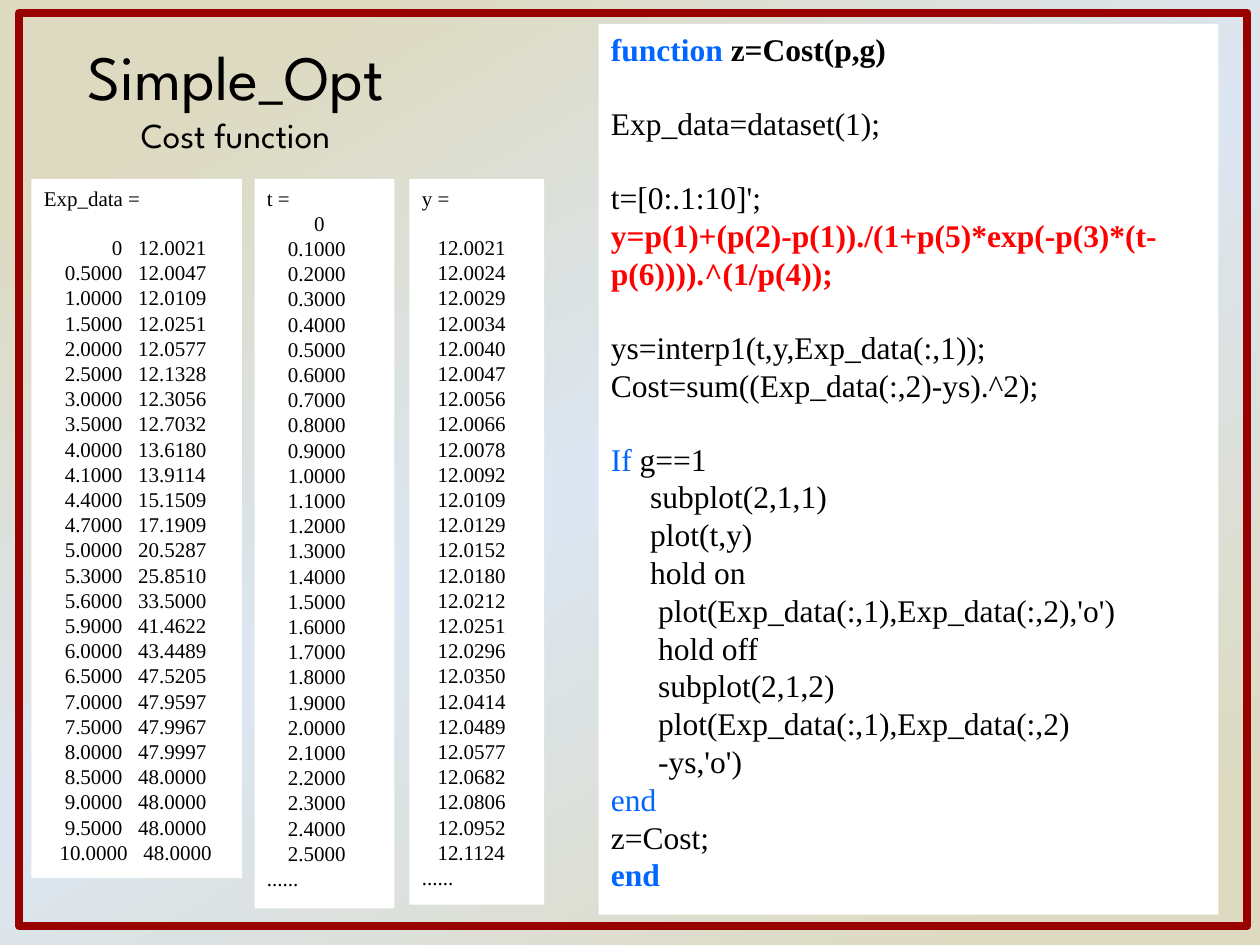
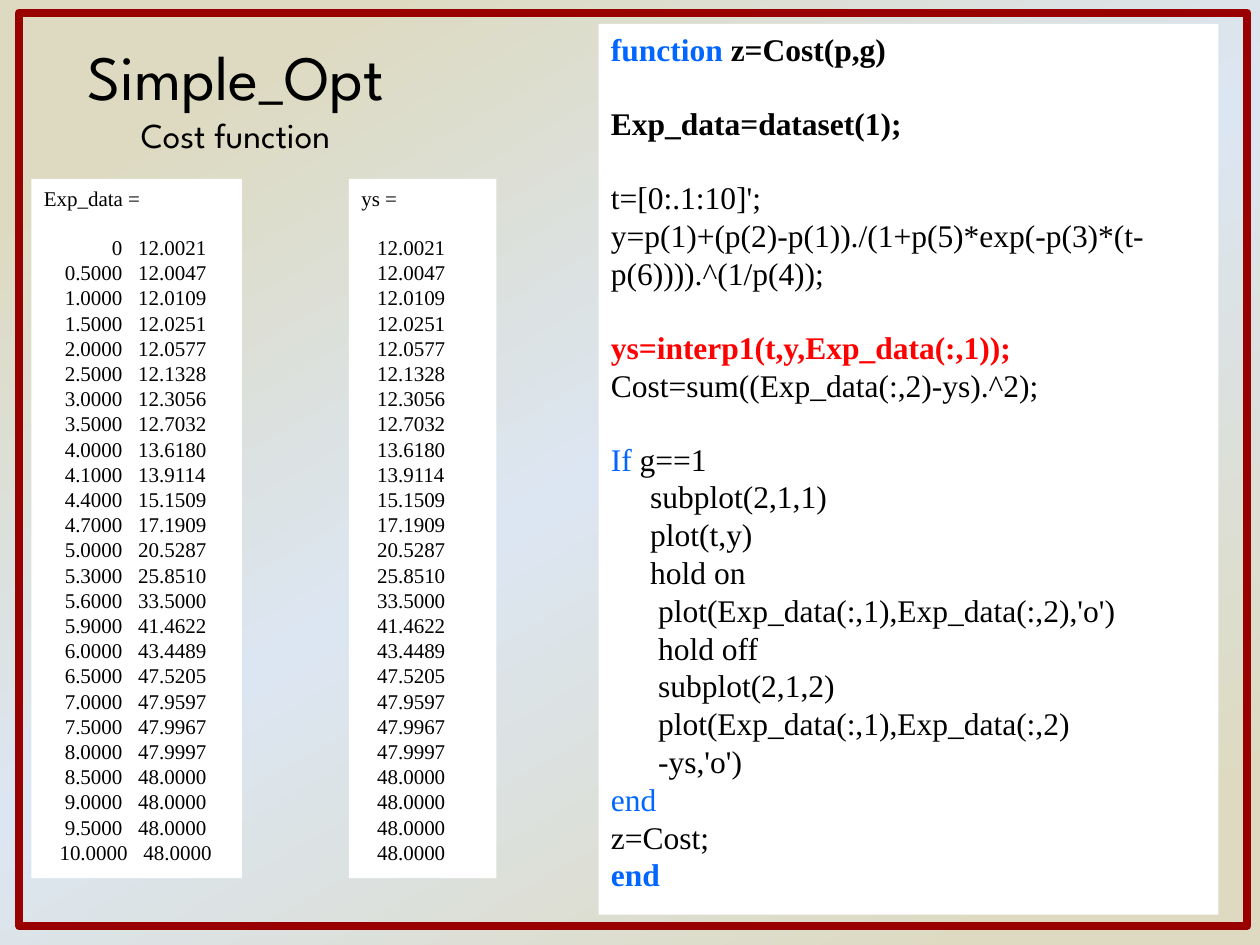
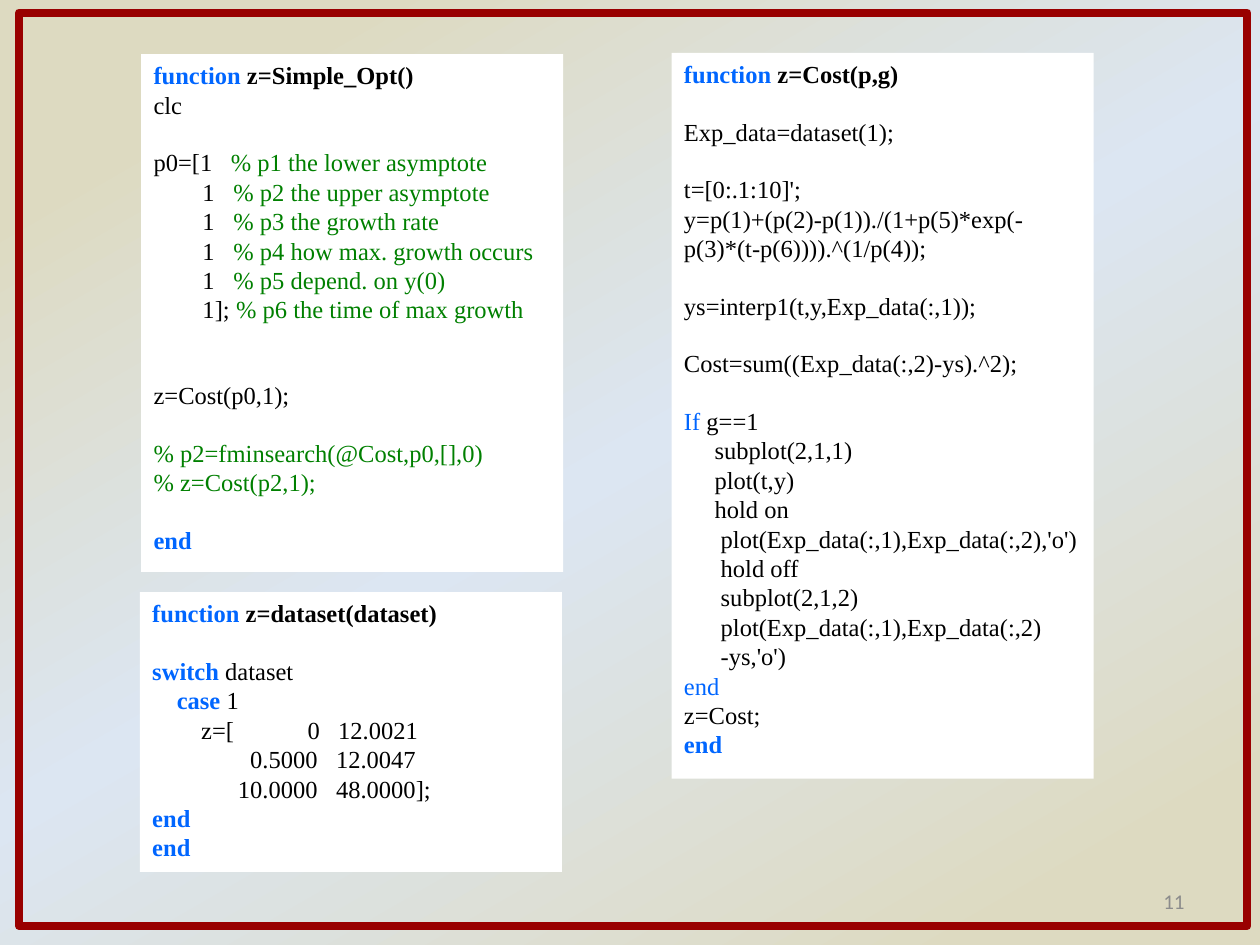
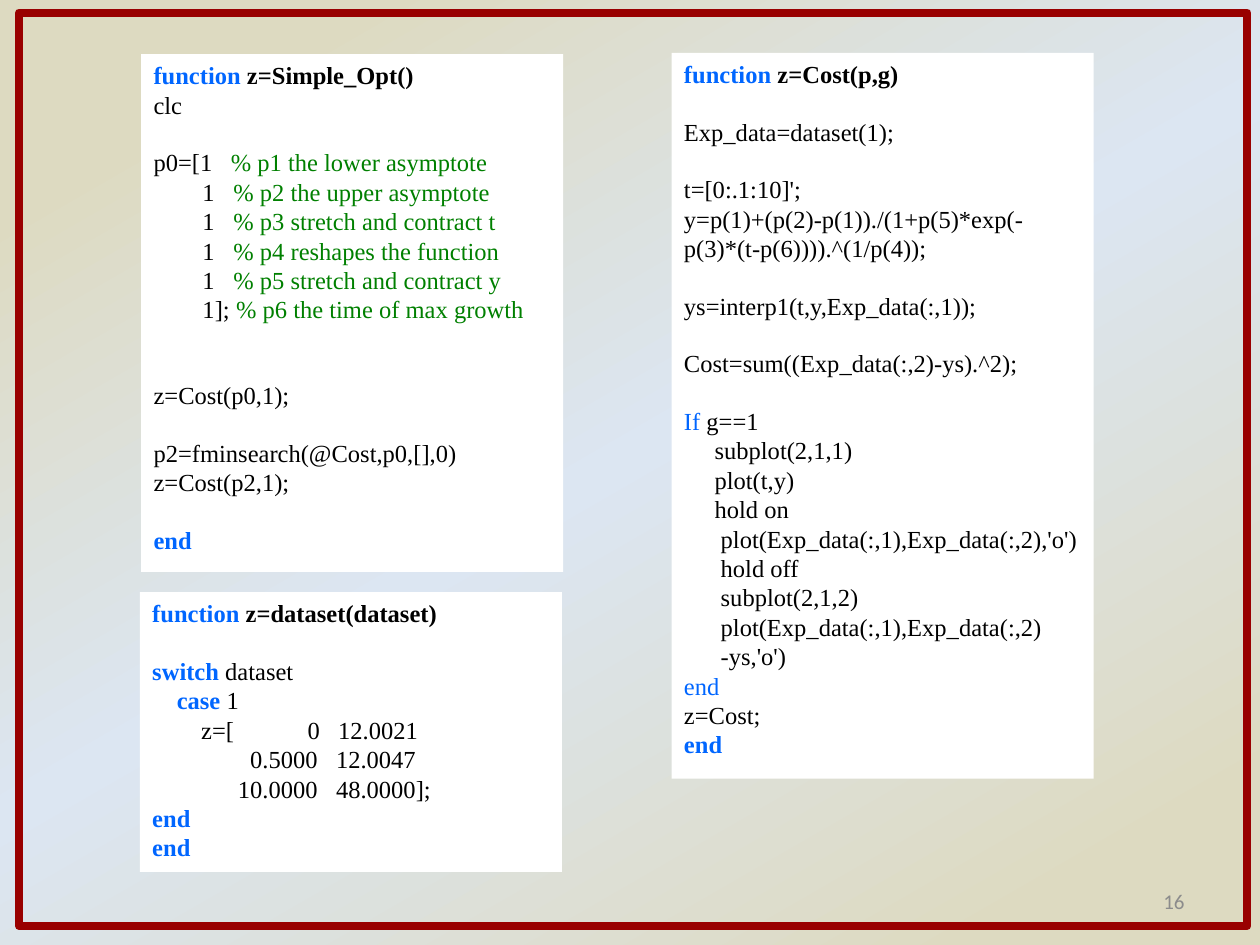
from copy import deepcopy

from pptx import Presentation
from pptx.dml.color import RGBColor
from pptx.enum.shapes import MSO_SHAPE
from pptx.enum.text import MSO_ANCHOR, MSO_AUTO_SIZE, PP_ALIGN
from pptx.oxml.ns import qn
from pptx.util import Pt

RECTANGLE = MSO_SHAPE.RECTANGLE
TOP, MIDDLE = MSO_ANCHOR.TOP, MSO_ANCHOR.MIDDLE
LEFT, CENTER, RIGHT = PP_ALIGN.LEFT, PP_ALIGN.CENTER, PP_ALIGN.RIGHT
NO_AUTOFIT = MSO_AUTO_SIZE.NONE


class Theme:
    black = RGBColor(0x00, 0x00, 0x00)
    blue = RGBColor(0x00, 0x66, 0xFF)
    red = RGBColor(0xFF, 0x00, 0x00)
    green = RGBColor(0x00, 0x80, 0x00)
    white = RGBColor(0xFF, 0xFF, 0xFF)
    gray = RGBColor(0x8C, 0x8C, 0x8C)
    frame = RGBColor(0x99, 0x00, 0x00)
    sand = RGBColor(0xDD, 0xDA, 0xC1)
    sky = RGBColor(0xDC, 0xE6, 0xF2)
    title_font = "League Spartan"
    code_font = "Times New Roman"
    number_font = "Calibri"
    title_size, subtitle_size = 36, 20
    large_code, small_code, data_size, number_size = 18, 14, 12, 12
    line_height = 1.15
    # Code styles: colour and bold
    styles = {
        "code": (black, False),
        "strong": (black, True),
        "keyword": (blue, True),
        "branch": (blue, False),
        "comment": (green, False),
        "focus": (red, True),
    }


def add_panel(slide, box, lines, size, emphasis={}):
    """White panel with styled code; an empty line becomes space before the next."""
    panel = slide.shapes.add_shape(RECTANGLE, *map(Pt, box))
    panel.shadow.inherit = False
    panel.fill.solid()
    panel.fill.fore_color.rgb = Theme.white
    panel.line.fill.background()
    frame = panel.text_frame
    frame.word_wrap = True
    frame.vertical_anchor = TOP
    paragraph, gap = frame.paragraphs[0], 0
    for index, line in enumerate(lines):
        if not line:
            gap += 1
            continue
        if index:
            paragraph = frame.add_paragraph()
        paragraph.alignment = LEFT
        if gap:
            paragraph.space_before = Pt(round(gap * size * Theme.line_height, 2))
            gap = 0
        parts = [(line, emphasis.get(line, "code"))] if isinstance(line, str) else line
        for text, style in parts:
            run = paragraph.add_run()
            run.text = text
            run.font.name = Theme.code_font
            run.font.size = Pt(size)
            run.font.color.rgb, run.font.bold = Theme.styles[style]


def add_framed_slide(layout):
    """Slide with the dark red frame."""
    slide = prs.slides.add_slide(layout)
    border = slide.shapes.add_shape(RECTANGLE, Pt(10.8), Pt(7.2), Pt(702), Pt(522))
    border.shadow.inherit = False
    border.fill.background()
    border.line.color.rgb = Theme.frame
    border.line.width = Pt(4.5)
    return slide


prs = Presentation()
prs.slide_width, prs.slide_height = Pt(720), Pt(540)
title_only, blank = prs.slide_layouts[5], prs.slide_layouts[6]

# Shared gradient background
background = prs.slide_master.background.fill
background.gradient()
background.gradient_angle = 300
stop_list = prs.slide_master.element.find(".//" + qn("a:gsLst"))
stop_list.append(deepcopy(stop_list[-1]))
stops = [(0.13, Theme.sand), (0.49, Theme.sky), (0.9, Theme.sand)]
for stop, (position, color) in zip(background.gradient_stops, stops):
    stop.position = position
    stop.color.rgb = color

# Code listings
FORMULA = "y=p(1)+(p(2)-p(1))./(1+p(5)*exp(-p(3)*(t-p(6)))).^(1/p(4));"
DATASET_CALL = "Exp_data=dataset(1);"
INTERPOLATION = "ys=interp1(t,y,Exp_data(:,1));"
END = [("end", "keyword")]

cost_start = [
    [("function", "keyword"), (" z=Cost(p,g)", "strong")],
    "",
    DATASET_CALL,
    "",
    "t=[0:.1:10]';",
    FORMULA,
    "",
    INTERPOLATION,
]
cost_end = [
    "Cost=sum((Exp_data(:,2)-ys).^2);",
    "",
    [("If", "branch"), (" g==1", "code")],
    "     subplot(2,1,1)",
    "     plot(t,y)",
    "     hold on",
    "      plot(Exp_data(:,1),Exp_data(:,2),'o')",
    "      hold off",
    "      subplot(2,1,2)",
    "      plot(Exp_data(:,1),Exp_data(:,2)",
    "      -ys,'o')",
    [("end", "branch")],
    "z=Cost;",
    END,
]
dataset_code = [
    [("function", "keyword"), (" z=dataset(dataset)", "strong")],
    "",
    [("switch", "keyword"), (" dataset", "code")],
    [("    ", "code"), ("case", "keyword"), (" 1", "code")],
    "        z=[            0   12.0021",
    "                0.5000   12.0047",
    "              10.0000   48.0000];",
    END,
    END,
]

# Console output
experiment = [
    (0, 12.0021), (0.5, 12.0047), (1, 12.0109), (1.5, 12.0251), (2, 12.0577),
    (2.5, 12.1328), (3, 12.3056), (3.5, 12.7032), (4, 13.6180), (4.1, 13.9114),
    (4.4, 15.1509), (4.7, 17.1909), (5, 20.5287), (5.3, 25.8510), (5.6, 33.5),
    (5.9, 41.4622), (6, 43.4489), (6.5, 47.5205), (7, 47.9597), (7.5, 47.9967),
    (8, 47.9997), (8.5, 48), (9, 48), (9.5, 48), (10, 48),
]
model = [
    12.0021, 12.0024, 12.0029, 12.0034, 12.0040, 12.0047, 12.0056, 12.0066, 12.0078,
    12.0092, 12.0109, 12.0129, 12.0152, 12.0180, 12.0212, 12.0251, 12.0296, 12.0350,
    12.0414, 12.0489, 12.0577, 12.0682, 12.0806, 12.0952, 12.1124,
]
experiment_output = ["Exp_data =", ""] + [
    (f"{time:10.4f}" if time else f"{0:14}") + f"{value:10.4f}"
    for time, value in experiment
]
time_output = ["t =", f"{0:10}"] + [f"{n / 10:10.4f}" for n in range(1, 26)] + ["......"]
model_output = ["y =", ""] + [f"{value:10.4f}" for value in model] + ["......"]
interpolated_output = ["ys =", ""] + [f"{value:10.4f}" for _, value in experiment]

# Slides 1 and 2: cost function beside its console output
walkthrough = [
    ({FORMULA: "focus"},
     [((234, 102.24, 77.04, 414.72), model_output),
      ((145.44, 102.24, 79.92, 416.88), time_output)]),
    ({DATASET_CALL: "strong", INTERPOLATION: "focus"},
     [((199.44, 102.24, 84.24, 399.6), interpolated_output)]),
]
for emphasis, outputs in walkthrough:
    slide = add_framed_slide(title_only)
    add_panel(slide, (342, 13.68, 354.24, 509.04), cost_start + cost_end,
              Theme.large_code, emphasis)
    for box, output in outputs + [((18, 102.24, 120.24, 399.6), experiment_output)]:
        add_panel(slide, box, output, Theme.data_size)

    title = slide.shapes.title
    title.left, title.top, title.width, title.height = map(Pt, (25.92, 18, 217.44, 74.88))
    heading = title.text_frame
    heading.text = "Simple_Opt\nCost function"
    heading.auto_size = NO_AUTOFIT
    heading.word_wrap = False
    heading.vertical_anchor = TOP
    for paragraph, size in zip(heading.paragraphs, (Theme.title_size, Theme.subtitle_size)):
        paragraph.alignment = CENTER
        font = paragraph.runs[0].font
        font.name, font.size = Theme.title_font, Pt(size)
        font.color.rgb = Theme.black

# Slides 3 and 4: the whole program, before and after the search is switched on
programs = [
    ("11", ["the growth rate", "how max. growth occurs", "depend. on y(0)"], "% ", "comment"),
    ("16", ["stretch and contract t", "reshapes the function", "stretch and contract y"],
     "", "code"),
]
for page, meanings, prefix, search_style in programs:
    slide = add_framed_slide(blank)
    meanings = ["the lower asymptote", "the upper asymptote", *meanings,
                "the time of max growth"]
    starts = ["p0=[1   "] + ["        1   "] * 4 + ["        1]; "]
    parameters = [
        [(start, "code"), (f"% p{n} {meaning}", "comment")]
        for n, (start, meaning) in enumerate(zip(starts, meanings), 1)
    ]
    main_code = [
        [("function", "keyword"), (" z=Simple_Opt()", "strong")],
        "clc",
        "",
        *parameters,
        "",
        "",
        "z=Cost(p0,1);",
        "",
        [(prefix + "p2=fminsearch(@Cost,p0,[],0)", search_style)],
        [(prefix + "z=Cost(p2,1);", search_style)],
        "",
        END,
    ]
    add_panel(slide, (80.64, 30.96, 241.2, 295.92), main_code, Theme.small_code)
    add_panel(slide, (383.76, 30.24, 241.2, 414.72), cost_start + [""] + cost_end,
              Theme.small_code)
    add_panel(slide, (79.92, 338.4, 241.2, 159.84), dataset_code, Theme.small_code)

    # Slide number
    number = slide.shapes.add_textbox(Pt(516.24), Pt(500.4), Pt(167.76), Pt(28.8)).text_frame
    number.word_wrap = True
    number.vertical_anchor = MIDDLE
    number.text = page
    number.paragraphs[0].alignment = RIGHT
    font = number.paragraphs[0].runs[0].font
    font.name, font.size = Theme.number_font, Pt(Theme.number_size)
    font.color.rgb = Theme.gray

prs.save("out.pptx")
